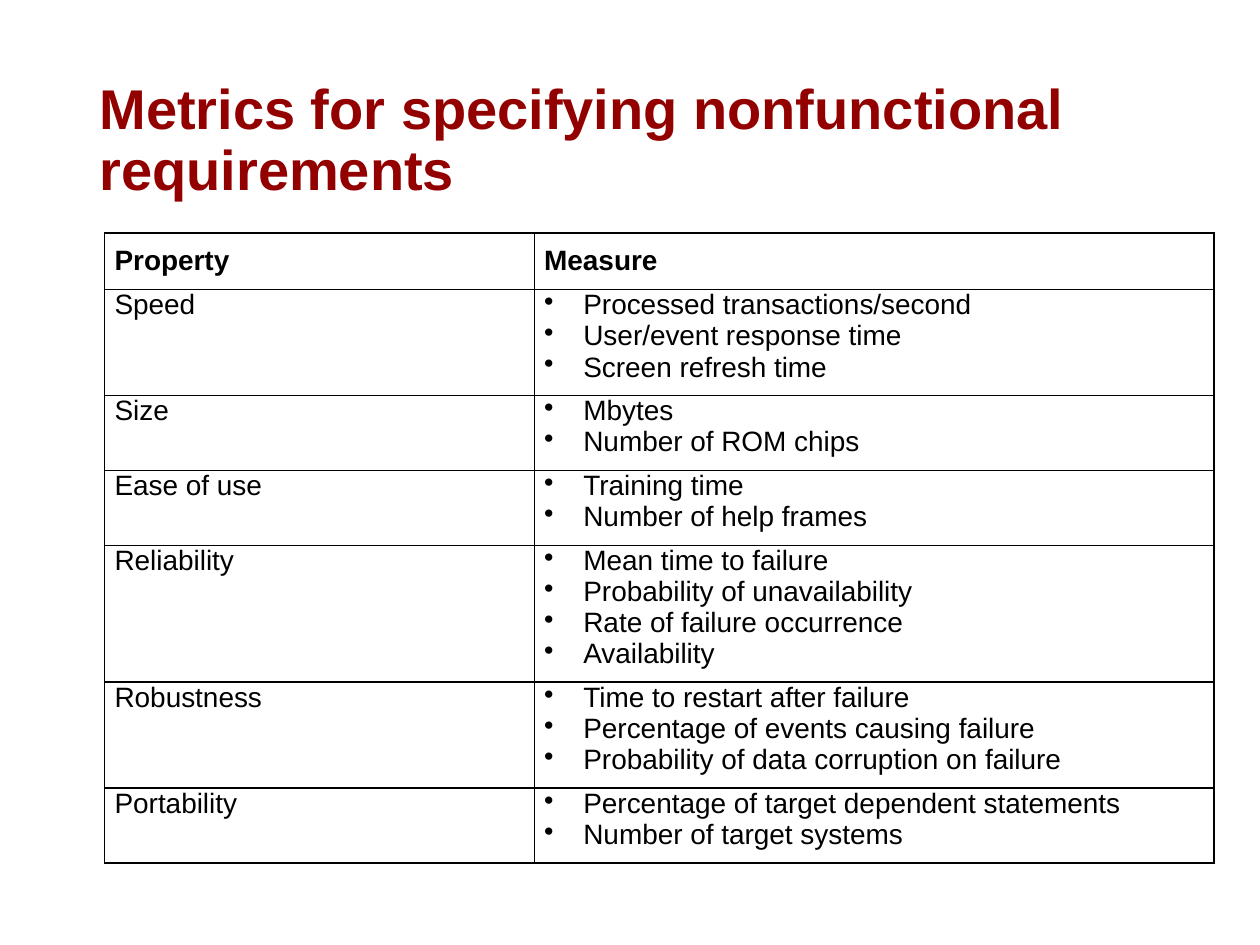
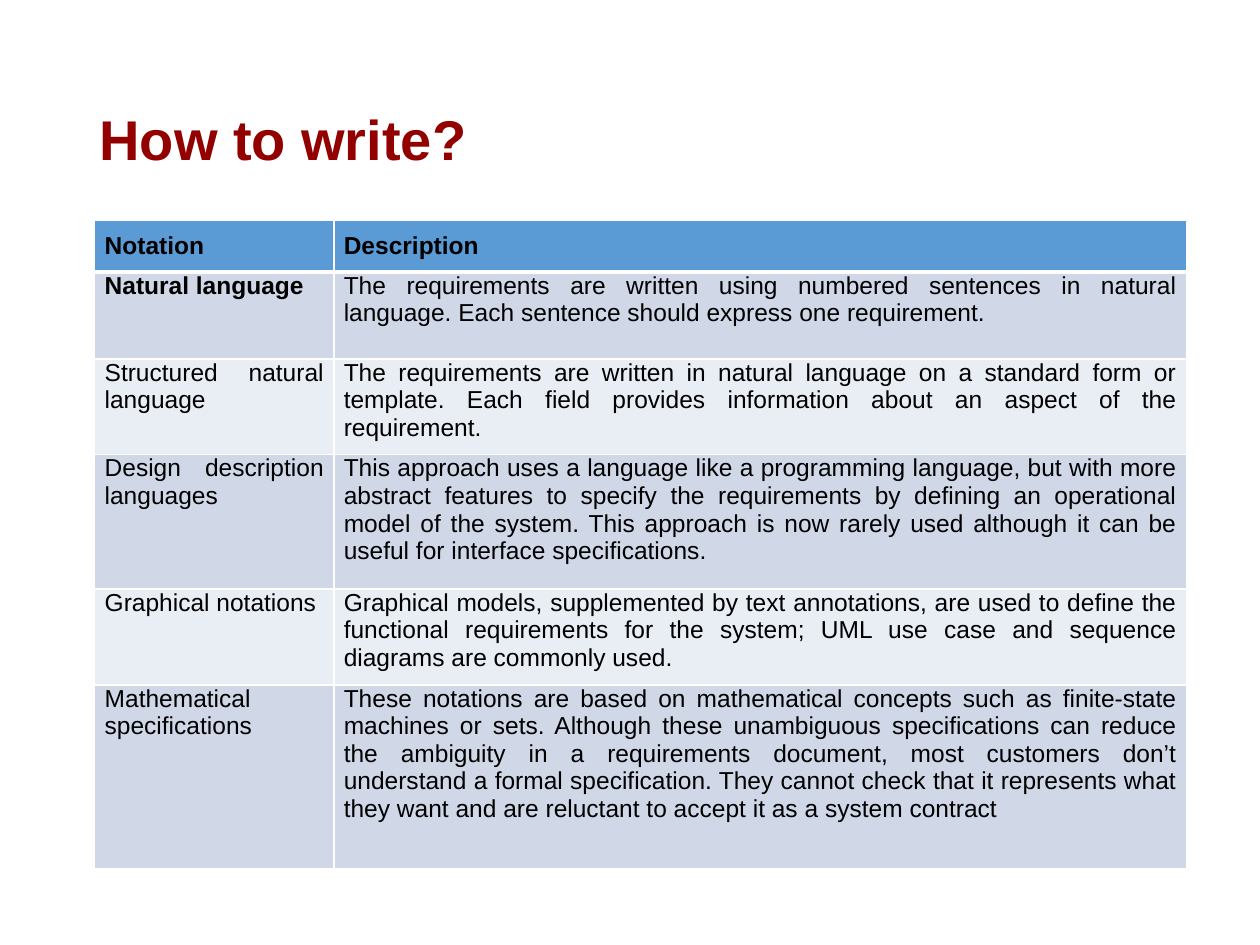
from dataclasses import dataclass

from lxml import etree
from pptx import Presentation
from pptx.dml.color import RGBColor
from pptx.enum.text import MSO_ANCHOR, MSO_AUTO_SIZE, PP_ALIGN
from pptx.oxml.ns import qn
from pptx.util import Cm, Pt

LEFT, JUSTIFY = PP_ALIGN.LEFT, PP_ALIGN.JUSTIFY
MIDDLE = MSO_ANCHOR.MIDDLE
NO_AUTOFIT = MSO_AUTO_SIZE.NONE
TITLE_ONLY = 5


@dataclass(frozen=True)
class Theme:
    font: str = "Arial"
    title_color: str = "920000"
    text_color: str = "000000"
    white: str = "FFFFFF"
    header_fill: str = "5B9BD5"
    band_fills: tuple = ("D0D8E8", "E9EDF4")
    title_size: int = 32
    metrics_size: int = 16
    notations_size: int = 14
    thin_line: int = 1
    thick_line: int = 3


THEME = Theme()

METRICS_TITLE = "Metrics for specifying nonfunctional requirements"
METRICS = [
    ("Property", "Measure"),
    ("Speed", ["Processed transactions/second", "User/event response time",
               "Screen refresh time"]),
    ("Size", ["Mbytes", "Number of ROM chips"]),
    ("Ease of use", ["Training time", "Number of help frames"]),
    ("Reliability", ["Mean time to failure", "Probability of unavailability",
                     "Rate of failure occurrence", "Availability"]),
    ("Robustness", ["Time to restart after failure",
                    "Percentage of events causing failure",
                    "Probability of data corruption on failure"]),
    ("Portability", ["Percentage of target dependent statements",
                     "Number of target systems"]),
]

NOTATIONS_TITLE = "How to write?"
NOTATIONS = [
    ("Notation", "Description"),
    ("Natural language",
     "The requirements are written using numbered sentences in natural language. "
     "Each sentence should express one requirement."),
    ("Structured natural language",
     "The requirements are written in natural language on a standard form or "
     "template. Each field provides information about an aspect of the requirement."),
    ("Design description languages",
     "This approach uses a language like a programming language, but with more "
     "abstract features to specify the requirements by defining an operational "
     "model of the system. This approach is now rarely used although it can be "
     "useful for interface specifications."),
    ("Graphical notations",
     "Graphical models, supplemented by text annotations, are used to define the "
     "functional requirements for the system; UML use case and sequence diagrams "
     "are commonly used."),
    ("Mathematical specifications",
     "These notations are based on mathematical concepts such as finite-state "
     "machines or sets. Although these unambiguous specifications can reduce the "
     "ambiguity in a requirements document, most customers don’t understand a "
     "formal specification. They cannot check that it represents what they want "
     "and are reluctant to accept it as a system contract"),
]
NOTATION_HEIGHTS = [1.03, 1.75, 1.93, 2.71, 1.93, 3.7]


def write(frame, text, size, color=THEME.text_color, bold=False, align=JUSTIFY,
          line_spacing=None):
    """Fill a text frame; a list of texts becomes bulleted paragraphs."""
    bulleted = isinstance(text, list)
    for index, line in enumerate(text if bulleted else [text]):
        paragraph = frame.add_paragraph() if index else frame.paragraphs[0]
        paragraph.alignment = align
        if line_spacing:
            paragraph.line_spacing = line_spacing
        if bulleted:
            properties = paragraph._p.get_or_add_pPr()
            properties.set("marL", str(Cm(0.79)))
            properties.set("indent", str(-Cm(0.79)))
            etree.SubElement(properties, qn("a:buChar"), char="•")
        run = paragraph.add_run()
        run.text = line
        run.font.name = THEME.font
        run.font.size = Pt(size)
        run.font.bold = bold
        run.font.color.rgb = RGBColor.from_string(color)


def set_borders(cell, color, widths):
    """Draw the left, right, top and bottom edges; widths are in points."""
    properties = cell._tc.get_or_add_tcPr()
    for side, width in zip("LRTB", widths):
        line = etree.SubElement(properties, qn(f"a:ln{side}"), w=str(Pt(width)))
        fill = etree.SubElement(line, qn("a:solidFill"))
        etree.SubElement(fill, qn("a:srgbClr"), val=color)


def add_titled_slide(presentation, title):
    slide = presentation.slides.add_slide(presentation.slide_layouts[TITLE_ONLY])
    shape = slide.shapes.title
    shape.left, shape.top, shape.width, shape.height = map(Cm, (1.75, 1.02, 21.9, 3.68))
    frame = shape.text_frame
    frame.auto_size = NO_AUTOFIT
    frame.vertical_anchor = MIDDLE
    write(frame, title, THEME.title_size, color=THEME.title_color, bold=True,
          align=LEFT, line_spacing=0.9)
    return slide


def add_grid(slide, rows, left, top, widths, heights, size, line_color,
             header_line=THEME.thin_line, banded=False, bold_cells=()):
    frame = slide.shapes.add_table(len(rows), len(widths), Cm(left), Cm(top),
                                   Cm(sum(widths)), Cm(sum(heights)))
    table = frame.table
    table.first_row = table.horz_banding = False
    for column, width in zip(table.columns, widths):
        column.width = Cm(width)
    for row_index, (texts, height) in enumerate(zip(rows, heights)):
        is_header = row_index == 0
        table.rows[row_index].height = Cm(height)
        top_line = header_line if row_index == 1 else THEME.thin_line
        bottom_line = header_line if is_header else THEME.thin_line
        for column_index, text in enumerate(texts):
            cell = table.cell(row_index, column_index)
            cell.margin_left = cell.margin_right = Cm(0.2)
            cell.margin_top = Cm(0.25 if is_header else 0)
            cell.margin_bottom = Cm(0.25)
            set_borders(cell, line_color,
                        (THEME.thin_line, THEME.thin_line, top_line, bottom_line))
            if banded:
                band = THEME.band_fills[(row_index - 1) % 2]
                cell.fill.solid()
                cell.fill.fore_color.rgb = RGBColor.from_string(
                    THEME.header_fill if is_header else band)
            else:
                cell.fill.background()
            write(cell.text_frame, text, size,
                  bold=is_header or (row_index, column_index) in bold_cells)


def main():
    presentation = Presentation()
    presentation.slide_width, presentation.slide_height = Cm(25.4), Cm(19.05)

    metrics_slide = add_titled_slide(presentation, METRICS_TITLE)
    metric_heights = [1.14] + [0.26 + 0.625 * len(measures) for _, measures in METRICS[1:]]
    add_grid(metrics_slide, METRICS, 2.11, 4.7, (8.66, 13.7), metric_heights,
             THEME.metrics_size, THEME.text_color)

    notations_slide = add_titled_slide(presentation, NOTATIONS_TITLE)
    add_grid(notations_slide, NOTATIONS, 1.91, 4.43, (4.82, 17.2), NOTATION_HEIGHTS,
             THEME.notations_size, THEME.white, header_line=THEME.thick_line,
             banded=True, bold_cells={(1, 0)})

    presentation.save("out.pptx")


if __name__ == "__main__":
    main()
